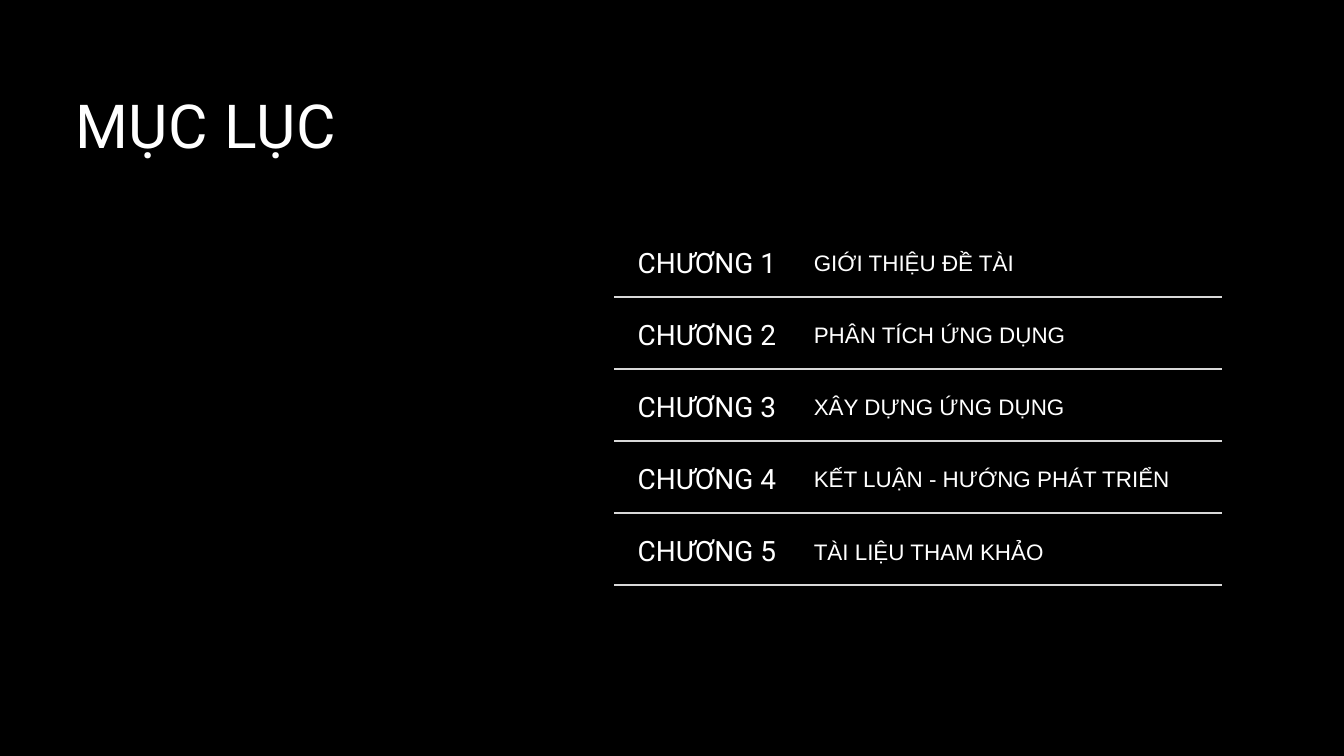
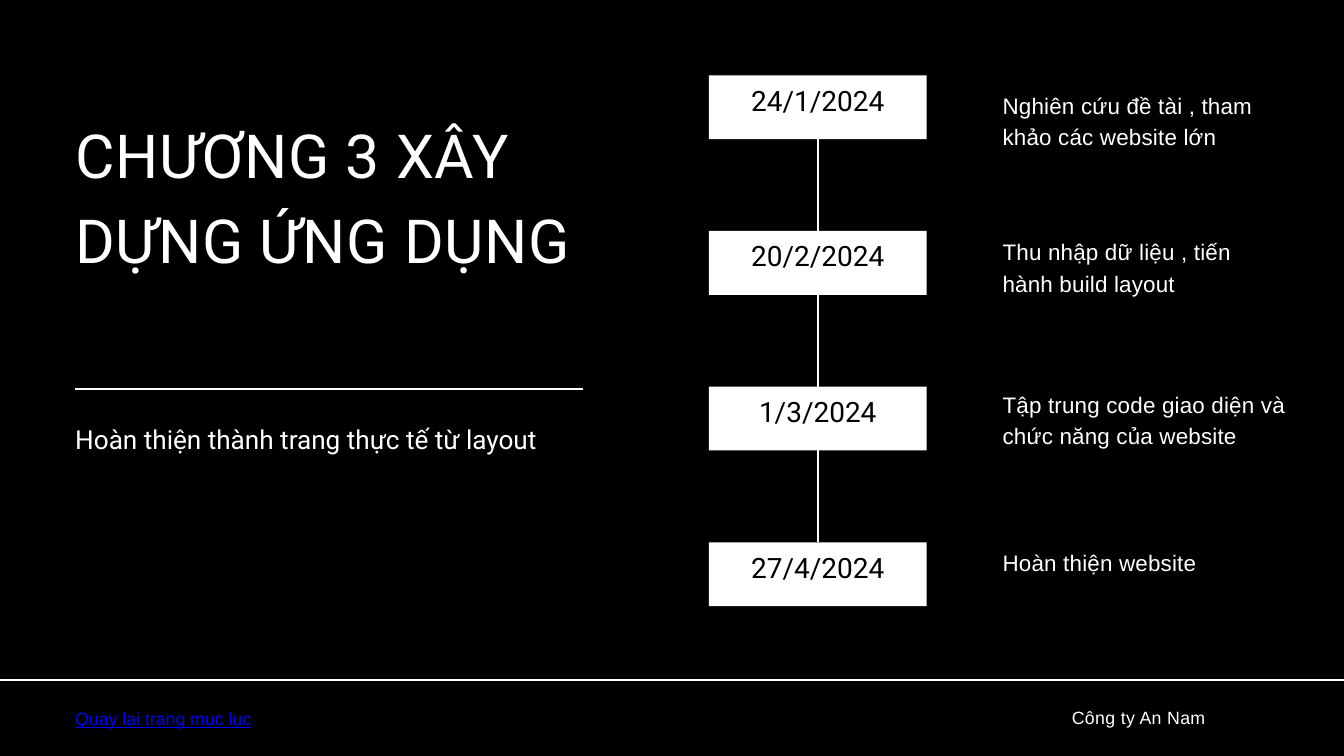
from dataclasses import dataclass

from lxml import etree
from pptx import Presentation
from pptx.dml.color import RGBColor
from pptx.enum.shapes import MSO_CONNECTOR, MSO_SHAPE
from pptx.enum.text import MSO_ANCHOR, MSO_AUTO_SIZE, PP_ALIGN
from pptx.oxml.ns import qn
from pptx.util import Inches, Pt

BLACK = RGBColor(0x00, 0x00, 0x00)
WHITE = RGBColor(0xFF, 0xFF, 0xFF)
RULE_GREY = RGBColor(0xD9, 0xD9, 0xD9)
LINK_BLUE = RGBColor(0x00, 0x00, 0xFF)

LEFT, CENTER = PP_ALIGN.LEFT, PP_ALIGN.CENTER
TOP, MIDDLE = MSO_ANCHOR.TOP, MSO_ANCHOR.MIDDLE
GROW = MSO_AUTO_SIZE.SHAPE_TO_FIT_TEXT
RECTANGLE = MSO_SHAPE.RECTANGLE
STRAIGHT = MSO_CONNECTOR.STRAIGHT
TITLE_ONLY = 5
TOP_SIDE, BOTTOM_SIDE = 0, 2

RULE_WIDTH = 2.25
MARGIN = 1.12
COLUMN_WIDTH = 7.56


@dataclass(frozen=True)
class TextStyle:
    font: str
    size: float
    leading: float
    color: RGBColor = WHITE
    tracking: float = 0
    align: PP_ALIGN = LEFT
    underline: bool = False


@dataclass(frozen=True)
class Box:
    left: float
    top: float
    width: float
    height: float

    def lengths(self):
        return [Inches(n) for n in (self.left, self.top, self.width, self.height)]


@dataclass(frozen=True)
class Milestone:
    date: str
    task: str
    task_box: Box


CONTENTS_TITLE = TextStyle("Roboto", 65, 74.1, tracking=0.7)
CHAPTER_TITLE = TextStyle("Roboto", 65, 91, tracking=0.7)
SUBTITLE = TextStyle("Roboto", 28, 39.2)
CHAPTER_NUMBER = TextStyle("Roboto", 30, 42, align=CENTER)
CHAPTER_NAME = TextStyle("Arial", 24, 33.6)
DATE = TextStyle("Roboto", 30, 42, BLACK, align=CENTER)
TASK = TextStyle("Arial", 24, 33.6, tracking=0.2)
BACK_LINK = TextStyle("Arial", 19, 24.7, LINK_BLUE, underline=True)
COMPANY = TextStyle("Arial", 19, 21.6, tracking=0.4)

CHAPTERS = [
    "GIỚI THIỆU ĐỀ TÀI",
    "PHÂN TÍCH ỨNG DỤNG",
    "XÂY DỰNG ỨNG DỤNG",
    "KẾT LUẬN - HƯỚNG PHÁT TRIỂN",
    "TÀI LIỆU THAM KHẢO",
]

MILESTONES = [
    Milestone("24/1/2024", "Nghiên cứu đề tài , tham khảo các website lớn",
              Box(14.92, 1.3, 4.03, 0.9)),
    Milestone("20/2/2024", "Thu nhập dữ liệu , tiến hành build layout",
              Box(14.92, 3.48, 4.03, 0.9)),
    Milestone("1/3/2024", "Tập trung code giao diện và chức năng của website",
              Box(14.92, 5.75, 4.64, 0.9)),
    Milestone("27/4/2024", "Hoàn thiện website",
              Box(14.92, 8.11, 4.03, 0.44)),
]


# Shared drawing functions
def write(frame, text: str, style: TextStyle) -> None:
    paragraph = frame.paragraphs[0]
    paragraph.alignment = style.align
    paragraph.line_spacing = Pt(style.leading)
    run = paragraph.add_run()
    run.text = text
    run.font.name = style.font
    run.font.size = Pt(style.size)
    run.font.color.rgb = style.color
    if style.underline:
        run.font.underline = True
    if style.tracking:
        run._r.get_or_add_rPr().set("spc", str(round(style.tracking * 100)))


def set_insets(target, left: float, top: float, right: float, bottom: float) -> None:
    target.margin_left, target.margin_top = Inches(left), Inches(top)
    target.margin_right, target.margin_bottom = Inches(right), Inches(bottom)


def fill_text_box(shape, text: str, style: TextStyle) -> None:
    frame = shape.text_frame
    frame.word_wrap = True
    frame.auto_size = GROW
    frame.vertical_anchor = TOP
    set_insets(frame, 0, 0, 0, 0)
    write(frame, text, style)


def add_text(slide, box: Box, text: str, style: TextStyle) -> None:
    fill_text_box(slide.shapes.add_textbox(*box.lengths()), text, style)


def add_title_slide(prs, box: Box, text: str, style: TextStyle):
    slide = prs.slides.add_slide(prs.slide_layouts[TITLE_ONLY])
    title = slide.shapes.title
    title.left, title.top, title.width, title.height = box.lengths()
    fill_text_box(title, text, style)
    return slide


def add_rectangle(slide, box: Box, color: RGBColor):
    rectangle = slide.shapes.add_shape(RECTANGLE, *box.lengths())
    rectangle.shadow.inherit = False
    rectangle.fill.solid()
    rectangle.fill.fore_color.rgb = color
    rectangle.line.fill.background()
    return rectangle


def add_rule(slide, x1: float, y1: float, x2: float, y2: float, width: float):
    rule = slide.shapes.add_connector(
        STRAIGHT, Inches(x1), Inches(y1), Inches(x2), Inches(y2))
    rule.line.color.rgb = WHITE
    rule.line.width = Pt(width)
    etree.SubElement(rule._element.spPr, qn("a:effectLst"))
    return rule


def set_border(cell, side: str, color: RGBColor | None) -> None:
    border = etree.SubElement(cell._tc.get_or_add_tcPr(), qn(f"a:ln{side}"))
    if color is None:
        border.set("w", "0")
        etree.SubElement(border, qn("a:noFill"))
    else:
        border.set("w", str(Pt(RULE_WIDTH)))
        fill = etree.SubElement(border, qn("a:solidFill"))
        etree.SubElement(fill, qn("a:srgbClr")).set("val", str(color))


# Slide 1: table of contents
def build_contents(prs) -> None:
    slide = add_title_slide(prs, Box(MARGIN, 1.36, 6.81, 1.05), "MỤC LỤC", CONTENTS_TITLE)

    number_width, name_width, table_height = 2.76, 6.29, 5.37
    box = Box(9.14, 3.34, number_width + name_width, table_height)
    chapters = slide.shapes.add_table(len(CHAPTERS), 2, *box.lengths()).table
    chapters.first_row = False
    chapters.horz_banding = False
    chapters.columns[0].width = Inches(number_width)
    chapters.columns[1].width = Inches(name_width)

    for index, name in enumerate(CHAPTERS):
        chapters.rows[index].height = Inches(table_height / len(CHAPTERS))
        entries = [(f"CHƯƠNG {index + 1}", CHAPTER_NUMBER), (name, CHAPTER_NAME)]
        for column, (text, style) in enumerate(entries):
            cell = chapters.cell(index, column)
            cell.vertical_anchor = MIDDLE
            set_insets(cell, 0.21, 0.21, 0.21, 0.21)
            write(cell.text_frame, text, style)
            set_border(cell, "L", None)
            set_border(cell, "R", None)
            set_border(cell, "T", RULE_GREY if index else None)
            set_border(cell, "B", RULE_GREY)
            cell.fill.background()


# Slide 2: chapter 3 with its timeline
def add_timeline(slide) -> None:
    first_top, last_top = 1.12, 8.07
    pitch = (last_top - first_top) / (len(MILESTONES) - 1)
    previous = None
    for index, milestone in enumerate(MILESTONES):
        top = first_top + index * pitch
        date = add_rectangle(slide, Box(10.55, top, 3.24, 0.95), WHITE)
        date.text_frame.vertical_anchor = MIDDLE
        set_insets(date.text_frame, 0.06, 0, 0.06, 0.3)
        write(date.text_frame, milestone.date, DATE)
        add_text(slide, milestone.task_box, milestone.task, TASK)
        if previous is not None:
            link = add_rule(slide, 12.17, top, 12.17, top - pitch + 0.95, RULE_WIDTH)
            link.begin_connect(date, TOP_SIDE)
            link.end_connect(previous, BOTTOM_SIDE)
        previous = date


def add_footer(slide) -> None:
    band = add_rectangle(slide, Box(-0.18, 10.12, 20.36, 1.53), BLACK)
    band.line.color.rgb = WHITE
    band.line.width = Pt(RULE_WIDTH)
    add_text(slide, Box(MARGIN, 10.51, COLUMN_WIDTH, 0.33),
             "Quay lại trang mục lục", BACK_LINK)
    add_text(slide, Box(15.95, 10.54, 2.92, 0.3), "Công ty An Nam", COMPANY)


def build_chapter(prs) -> None:
    slide = add_title_slide(prs, Box(MARGIN, 1.57, COLUMN_WIDTH, 2.46),
                            "CHƯƠNG 3 XÂY DỰNG ỨNG DỤNG", CHAPTER_TITLE)
    add_rule(slide, MARGIN, 5.79, MARGIN + COLUMN_WIDTH, 5.79, 3)
    add_text(slide, Box(MARGIN, 6.22, COLUMN_WIDTH, 1.06),
             "Hoàn thiện thành trang thực tế từ layout", SUBTITLE)
    add_timeline(slide)
    add_footer(slide)


def main() -> None:
    prs = Presentation()
    prs.slide_width, prs.slide_height = Inches(20), Inches(11.25)
    backdrop = prs.slide_master.background.fill
    backdrop.solid()
    backdrop.fore_color.rgb = BLACK
    build_contents(prs)
    build_chapter(prs)
    prs.save("out.pptx")


if __name__ == "__main__":
    main()
